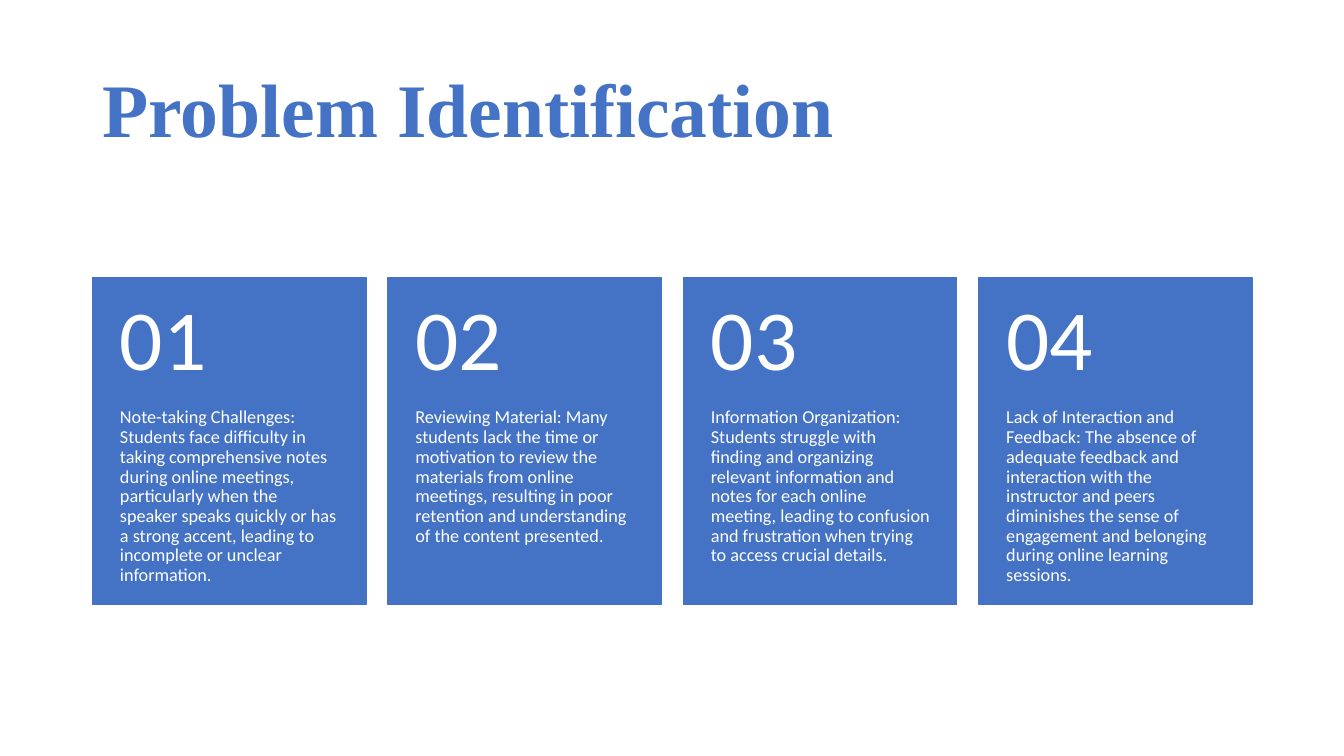
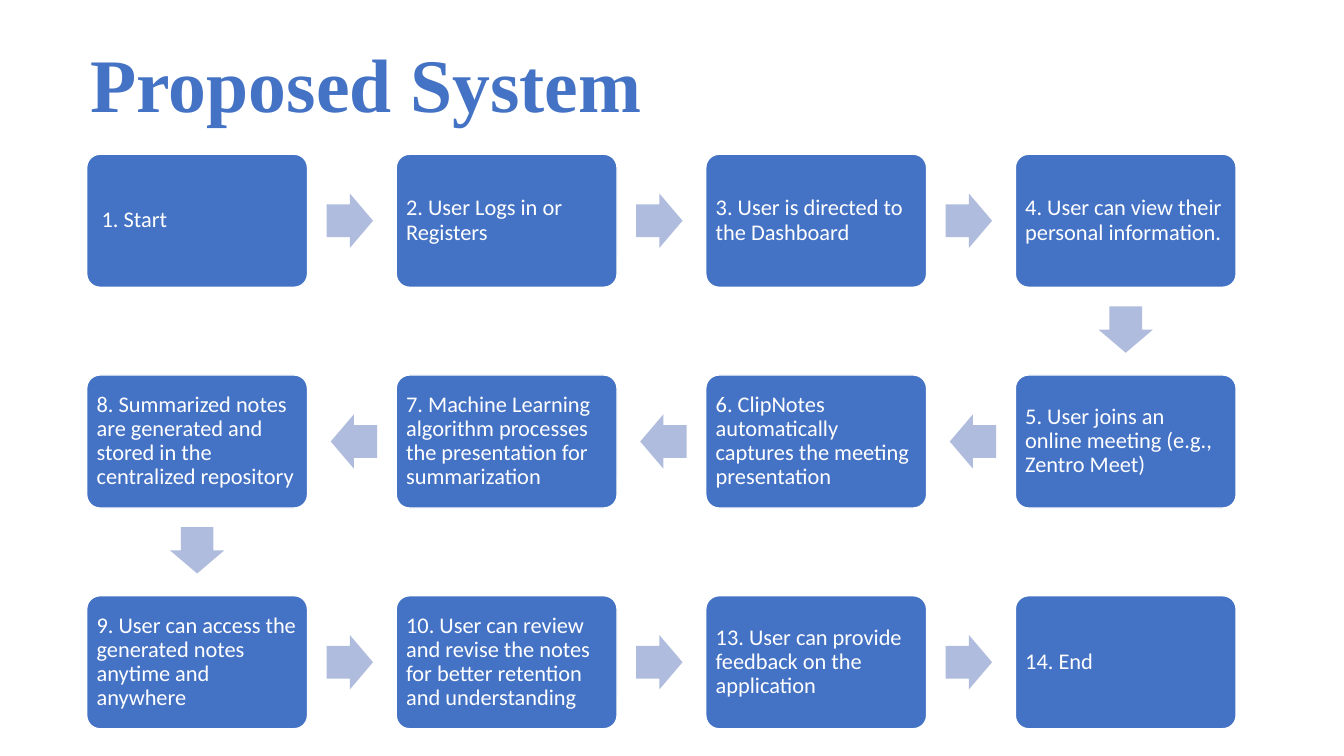
from pptx import Presentation
from pptx.dml.color import RGBColor
from pptx.enum.shapes import MSO_SHAPE
from pptx.enum.text import MSO_ANCHOR, PP_ALIGN
from pptx.util import Pt

PX = 9144
BLUE = "4472C4"
PALE_BLUE = "B0BCDE"
WHITE = "FFFFFF"
BODY_FONT = "Calibri"
TITLE_FONT = "Times New Roman"

RECTANGLE = MSO_SHAPE.RECTANGLE
ROUNDED = MSO_SHAPE.ROUNDED_RECTANGLE
RIGHT_ARROW = MSO_SHAPE.RIGHT_ARROW
TOP = MSO_ANCHOR.TOP
MIDDLE = MSO_ANCHOR.MIDDLE
LEFT = PP_ALIGN.LEFT

PROBLEMS = [
    "Note-taking Challenges: Students face difficulty in taking comprehensive notes "
    "during online meetings, particularly when the speaker speaks quickly or has a "
    "strong accent, leading to incomplete or unclear information.",
    "Reviewing Material: Many students lack the time or motivation to review the "
    "materials from online meetings, resulting in poor retention and understanding "
    "of the content presented.",
    "Information Organization: Students struggle with finding and organizing relevant "
    "information and notes for each online meeting, leading to confusion and "
    "frustration when trying to access crucial details.",
    "Lack of Interaction and Feedback: The absence of adequate feedback and "
    "interaction with the instructor and peers diminishes the sense of engagement "
    "and belonging during online learning sessions.",
]

STEPS = [
    " 1. Start",
    "2. User Logs in or Registers",
    "3. User is directed to the Dashboard",
    "4. User can view their personal information.",
    "5. User joins an online meeting (e.g., Zentro Meet)",
    "6. ClipNotes automatically captures the meeting presentation",
    "7. Machine Learning algorithm processes the presentation for summarization",
    "8. Summarized notes are generated and stored in the centralized repository",
    "9. User can access the generated notes anytime and anywhere",
    "10. User can review and revise the notes for better retention and understanding",
    "13. User can provide feedback on the application",
    "14. End",
]


def color(value):
    return RGBColor.from_string(value)


def px(*lengths):
    return [round(length * PX) for length in lengths]


def write(shape, text, size, margins, anchor=MIDDLE, font=BODY_FONT, ink=WHITE,
          bold=False, line_spacing=0.9):
    frame = shape.text_frame
    frame.text = text
    frame.word_wrap = True
    frame.vertical_anchor = anchor
    (frame.margin_left, frame.margin_top,
     frame.margin_right, frame.margin_bottom) = px(*margins)
    para = frame.paragraphs[0]
    para.alignment = LEFT
    para.line_spacing = line_spacing
    span = para.runs[0]
    span.font.name = font
    span.font.size = Pt(size)
    span.font.bold = bold
    span.font.color.rgb = color(ink)


def add_text(page, box, text, size, margins, **style):
    write(page.shapes.add_textbox(*px(*box)), text, size, margins, **style)


def add_block(page, kind, box, fill, line=None):
    shape = page.shapes.add_shape(kind, *px(*box))
    shape.shadow.inherit = False
    shape.fill.solid()
    shape.fill.fore_color.rgb = color(fill)
    if line:
        shape.line.color.rgb = color(line)
        shape.line.width = Pt(1)
    else:
        shape.line.fill.background()
    return shape


def add_title(page, box, text, **style):
    add_text(page, box, text, 54, (10, 5, 10, 5), font=TITLE_FONT, ink=BLUE,
             bold=True, **style)


def add_problem_card(page, box, number, text):
    left, top, width, height = box
    head = round(height * 0.4)
    add_block(page, RECTANGLE, box, BLUE, BLUE)
    add_text(page, (left, top + head, width, height - head), text, 13,
             (27, 0, 27, 36), anchor=TOP)
    add_text(page, (left, top, width, head), f"{number:02d}", 61, (27, 18, 27, 18))


def add_problem_row(page, box):
    left, top, width, height = box
    gap = 22
    card = (width - gap * (len(PROBLEMS) - 1)) / len(PROBLEMS)
    for index, text in enumerate(PROBLEMS):
        place = (left + index * (card + gap), top, card, height)
        add_problem_card(page, place, index + 1, text)


def add_step(page, box, text):
    step = add_block(page, ROUNDED, box, BLUE, WHITE)
    step.adjustments[0] = 0.1
    write(step, text, 16, (6, 6, 6, 6))


def add_step_arrow(page, box, direction):
    left, top, width, height = box
    across, down = direction
    length, breadth, gap = 46, 54, 19
    center_x = left + width / 2 + across * (width / 2 + gap + length / 2)
    center_y = top + height / 2 + down * (height / 2 + gap + length / 2)
    place = (center_x - length / 2, center_y - breadth / 2, length, breadth)
    arrow = add_block(page, RIGHT_ARROW, place, PALE_BLUE)
    arrow.adjustments[0] = 0.6
    arrow.adjustments[1] = 0.5
    arrow.rotation = 90 if down else 90 * (1 - across)


def add_step_flow(page, box):
    left, top, width, height = box
    columns, rows = 4, 3
    step_width, step_height = 219, 132
    pitch_x = (width - step_width) / (columns - 1)
    pitch_y = (height - step_height) / (rows - 1)
    for index, text in enumerate(STEPS):
        row, position = divmod(index, columns)
        forward = row % 2 == 0
        column = position if forward else columns - 1 - position
        place = (left + column * pitch_x, top + row * pitch_y, step_width, step_height)
        add_step(page, place, text)
        if index < len(STEPS) - 1:
            turns = position == columns - 1
            direction = (0, 1) if turns else (1 if forward else -1, 0)
            add_step_arrow(page, place, direction)


def add_page(deck):
    return deck.slides.add_slide(deck.slide_layouts[6])


def build_problem_page(deck):
    page = add_page(deck)
    add_title(page, (92, 40, 1150, 145), "Problem Identification")
    add_problem_row(page, (92, 275, 1150, 325))


def build_system_page(deck):
    page = add_page(deck)
    add_step_flow(page, (86, 153, 1140, 570))
    add_title(page, (80, 32, 961, 101), "Proposed System", anchor=TOP, line_spacing=1.0)


def main():
    deck = Presentation()
    deck.slide_width, deck.slide_height = px(1333, 750)
    build_problem_page(deck)
    build_system_page(deck)
    deck.save("out.pptx")


if __name__ == "__main__":
    main()
